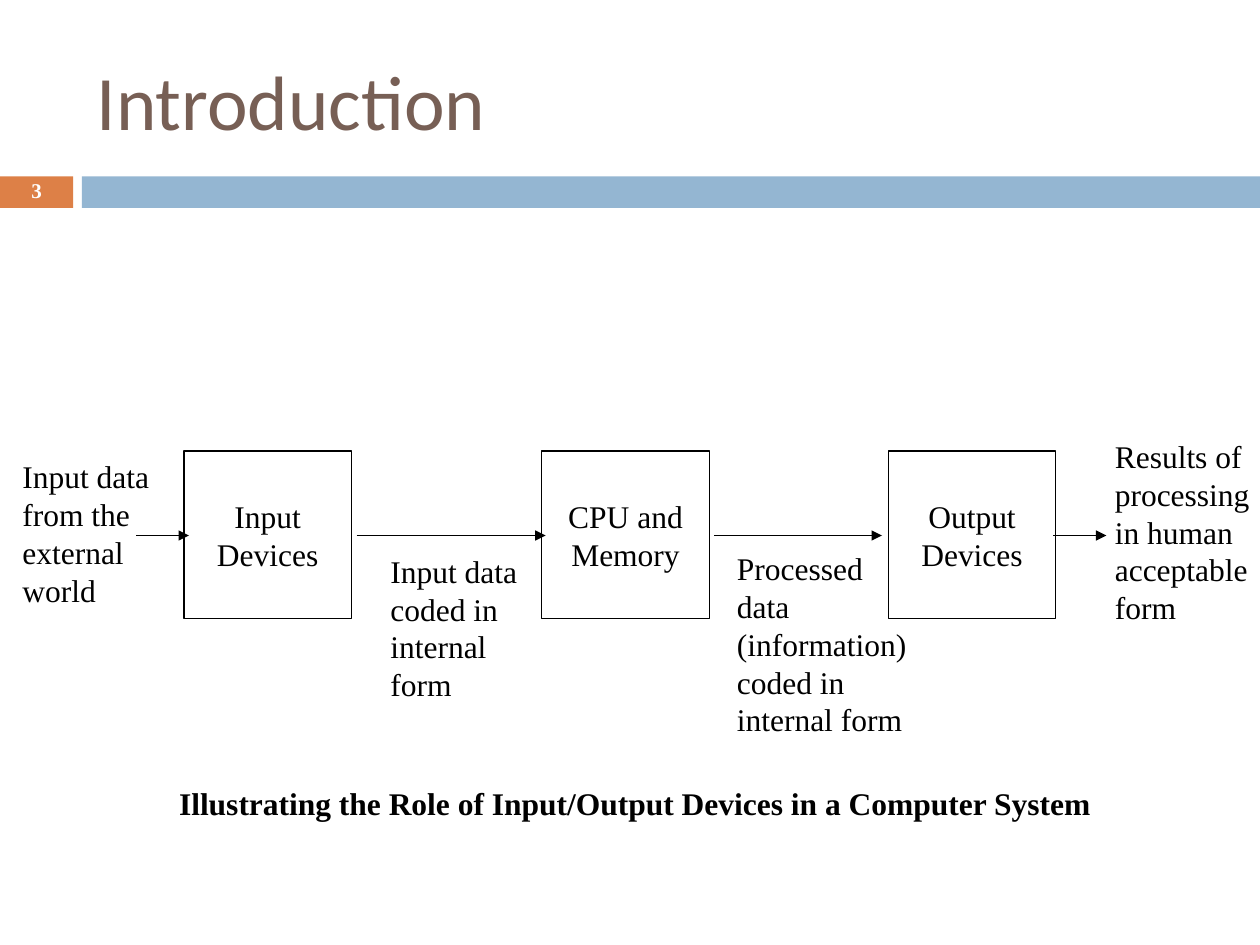
from lxml.etree import SubElement
from pptx import Presentation
from pptx.dml.color import RGBColor
from pptx.enum.shapes import MSO_CONNECTOR as Connector, MSO_SHAPE as Shape
from pptx.enum.text import MSO_ANCHOR as Anchor, PP_ALIGN as Align
from pptx.oxml.ns import qn
from pptx.util import Inches, Pt

BLACK = RGBColor(0x00, 0x00, 0x00)
WHITE = RGBColor(0xFF, 0xFF, 0xFF)
BROWN = RGBColor(0x77, 0x5F, 0x55)
ORANGE = RGBColor(0xDD, 0x80, 0x47)
BLUE = RGBColor(0x94, 0xB6, 0xD2)
SERIF = "Times New Roman"

DEVICE_TOP, DEVICE_SIZE = 3.58, 1.33
FLOW_Y = 4.25
DEVICES = [(1.46, "Input Devices"), (4.3, "CPU and Memory"), (7.05, "Output Devices")]
ARROWS = [(1.08, 1.5), (2.83, 4.33), (5.67, 7), (8.36, 8.78)]
LABELS = [
    ((0.08, 3.58, 1.33, 1.3), "Input data from the external world"),
    ((3, 4.33, 1.25, 1.3), "Input data coded in internal form"),
    ((5.75, 4.31, 1.58, 1.6), "Processed data (information) coded in internal form"),
    ((8.75, 3.42, 1.33, 1.6), "Results of processing in human acceptable form"),
]


def write(shape, text, size=18, name=SERIF, color=BLACK, bold=False,
          align=Align.LEFT, anchor=Anchor.MIDDLE):
    frame = shape.text_frame
    frame.word_wrap = True
    frame.vertical_anchor = anchor
    para = frame.paragraphs[0]
    para.text = text
    para.alignment = align
    font = para.font
    font.size, font.name, font.bold = Pt(size), name, bold
    font.color.rgb = color
    return para


def add_text(page, area, text, **style):
    box = page.shapes.add_textbox(*map(Inches, area))
    return write(box, text, **style)


def add_rectangle(page, area):
    shape = page.shapes.add_shape(Shape.RECTANGLE, *map(Inches, area))
    shape.shadow.inherit = False
    return shape


def add_bar(page, area, color):
    bar = add_rectangle(page, area)
    bar.fill.solid()
    bar.fill.fore_color.rgb = color
    bar.line.fill.background()


def add_device(page, left, text):
    device = add_rectangle(page, (left, DEVICE_TOP, DEVICE_SIZE, DEVICE_SIZE))
    device.fill.background()
    device.line.color.rgb = BLACK
    device.line.width = Pt(0.75)
    write(device, text, align=Align.CENTER)


def add_arrow(page, start, end):
    y = Inches(FLOW_Y)
    arrow = page.shapes.add_connector(
        Connector.STRAIGHT, Inches(start), y, Inches(end), y)
    arrow.line.color.rgb = BLACK
    arrow.line.width = Pt(0.75)
    SubElement(arrow.line._get_or_add_ln(), qn("a:tailEnd"), type="triangle")
    SubElement(arrow._element.spPr, qn("a:effectLst"))


def main():
    deck = Presentation()
    deck.slide_width, deck.slide_height = Inches(10), Inches(7.5)
    page = deck.slides.add_slide(deck.slide_layouts[6])

    add_bar(page, (0, 1.4, 0.58, 0.25), ORANGE)
    add_bar(page, (0.65, 1.4, 9.35, 0.25), BLUE)
    add_text(page, (0.67, 0.25, 8.92, 1.08), "Introduction",
             size=44, name="Calibri", color=BROWN)
    number = add_text(page, (0, 1.39, 0.58, 0.27), "3", size=12, color=WHITE,
                      bold=True, align=Align.CENTER)
    number.line_spacing = 0.8

    for left, text in DEVICES:
        add_device(page, left, text)
    for start, end in ARROWS:
        add_arrow(page, start, end)
    for area, text in LABELS:
        add_text(page, area, text, anchor=Anchor.TOP)
    add_text(page, (0.08, 6.17, 9.92, 0.4),
             "Illustrating the Role of Input/Output Devices in a Computer System",
             bold=True, align=Align.CENTER)

    deck.save("out.pptx")


if __name__ == "__main__":
    main()
